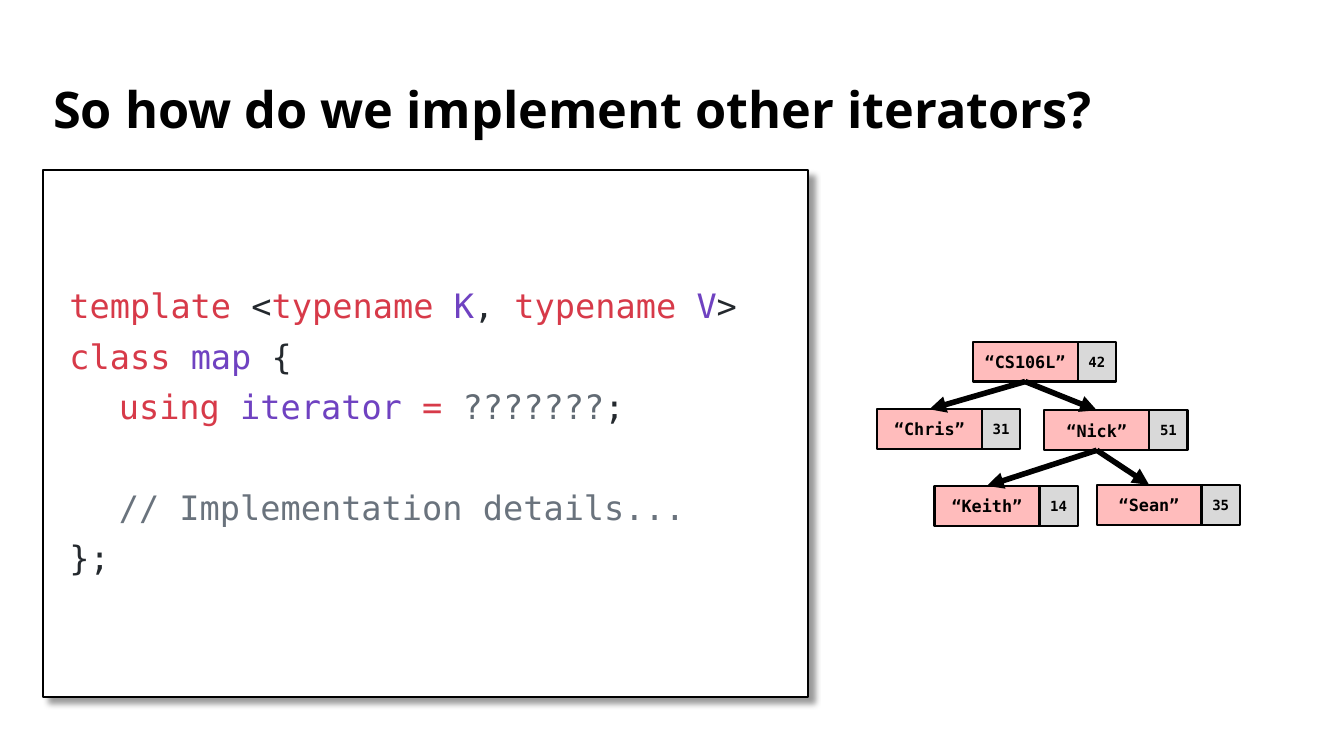
"""Build a slide on implementing iterators, with a map template and its tree."""
import dataclasses
import typing

import lxml.etree
import pptx
import pptx.dml.color
import pptx.enum.shapes
import pptx.enum.text
import pptx.oxml.ns
import pptx.util

COLUMNS, ROWS = 64, 36
CELL = pptx.util.Inches(7.5) // ROWS


@dataclasses.dataclass(frozen=True)
class Theme:
    heading_font: str = "Open Sans"
    code_font: str = "DejaVu Sans Mono"
    heading_size: int = 36
    code_size: int = 24
    key_size: int = 12
    value_size: int = 10
    outline: float = 1.5
    arrow: float = 4
    ink: str = "000000"
    paper: str = "FFFFFF"
    key_fill: str = "FFBCBC"
    value_fill: str = "D9D9D9"
    keyword: str = "D73A49"
    name: str = "6F42C1"
    plain: str = "24292E"
    unknown: str = "626B74"
    comment: str = "6A737D"


THEME = Theme()


class Span(typing.NamedTuple):
    text: str
    color: str = THEME.ink


class Line(typing.NamedTuple):
    spans: list[Span]
    indent: float = 0.01
    before: float = 10


class Area(typing.NamedTuple):
    column: float
    row: float
    columns: float
    rows: float


class Node(typing.NamedTuple):
    key: str
    value: str
    column: float
    row: float
    parent: str = ""


KEY_COLUMNS, VALUE_COLUMNS, NODE_ROWS = 5, 1.82, 1.9
HEADING_AREA = Area(2.06, 3.31, 59.86, 4.03)
CODE_AREA = Area(2.06, 8.11, 36.43, 25.1)

CODE = [
    Line([Span("template", THEME.keyword), Span(" <", THEME.plain),
          Span("typename ", THEME.keyword), Span("K", THEME.name),
          Span(", ", THEME.plain), Span("typename ", THEME.keyword),
          Span("V", THEME.name), Span(">", THEME.plain)], before=0),
    Line([Span("class ", THEME.keyword), Span("map", THEME.name),
          Span(" {", THEME.plain)]),
    Line([Span("using ", THEME.keyword), Span("iterator ", THEME.name),
          Span("= ", THEME.keyword), Span("???????", THEME.unknown),
          Span(";", THEME.plain)], indent=0.5),
    Line([Span("// Implementation details...", THEME.comment)],
         indent=0.5, before=46),
    Line([Span("};", THEME.plain)]),
]

TREE = [
    Node("“CS106L”", "42", 46.32, 16.27),
    Node("“Chris”", "31", 41.76, 19.49, "“CS106L”"),
    Node("“Nick”", "51", 49.73, 19.54, "“CS106L”"),
    Node("“Keith”", "14", 44.5, 23.14, "“Nick”"),
    Node("“Sean”", "35", 52.22, 23.09, "“Nick”"),
]


def rgb(color: str) -> pptx.dml.color.RGBColor:
    return pptx.dml.color.RGBColor.from_string(color)


def place(area: Area) -> list[int]:
    return [round(length * CELL) for length in area]


def write(holder, lines: list[Line], *, font: str, size: float,
          bold: bool = False, centred: bool = False, spacing: float = 1.0,
          inset: float = 0) -> None:
    frame = holder.text_frame
    frame.word_wrap = True
    frame.vertical_anchor = pptx.enum.text.MSO_ANCHOR.MIDDLE
    frame.margin_left = frame.margin_right = pptx.util.Inches(inset)
    frame.margin_top = frame.margin_bottom = pptx.util.Inches(inset)
    align = pptx.enum.text.PP_ALIGN
    for index, line in enumerate(lines):
        paragraph = frame.add_paragraph() if index else frame.paragraphs[0]
        properties = paragraph._p.get_or_add_pPr()
        properties.set("marL", str(pptx.util.Inches(line.indent)))
        properties.set("indent", "0")
        paragraph.alignment = align.CENTER if centred else align.LEFT
        paragraph.line_spacing = spacing
        paragraph.space_before = pptx.util.Pt(line.before)
        for span in line.spans:
            run = paragraph.add_run()
            run.text = span.text
            run.font.name = font
            run.font.size = pptx.util.Pt(size)
            run.font.bold = bold
            run.font.color.rgb = rgb(span.color)


def draw_box(slide, area: Area, fill: str):
    box = slide.shapes.add_shape(
        pptx.enum.shapes.MSO_SHAPE.RECTANGLE, *place(area))
    box.shadow.inherit = False
    box.fill.solid()
    box.fill.fore_color.rgb = rgb(fill)
    box.line.color.rgb = rgb(THEME.ink)
    box.line.width = pptx.util.Pt(THEME.outline)
    return box


def cast_shadow(box) -> None:
    effects = box._element.spPr.find(pptx.oxml.ns.qn("a:effectLst"))
    shadow = lxml.etree.SubElement(
        effects, pptx.oxml.ns.qn("a:outerShdw"),
        blurRad=str(pptx.util.Pt(4)), dist=str(pptx.util.Pt(6)),
        dir=str(45 * 60000), algn="tl", rotWithShape="0")
    tint = lxml.etree.SubElement(
        shadow, pptx.oxml.ns.qn("a:srgbClr"), val=THEME.ink)
    lxml.etree.SubElement(tint, pptx.oxml.ns.qn("a:alpha"), val="40000")


def draw_node(slide, node: Node):
    key_area = Area(node.column, node.row, KEY_COLUMNS, NODE_ROWS)
    value_area = Area(node.column + KEY_COLUMNS, node.row,
                      VALUE_COLUMNS, NODE_ROWS)
    key = draw_box(slide, key_area, THEME.key_fill)
    value = draw_box(slide, value_area, THEME.value_fill)
    for cell, text, size in ((key, node.key, THEME.key_size),
                             (value, node.value, THEME.value_size)):
        write(cell, [Line([Span(text)], indent=0, before=0)],
              font=THEME.code_font, size=size, bold=True, centred=True)
    return key


def draw_branch(slide, parent, child) -> None:
    branch = slide.shapes.add_connector(
        pptx.enum.shapes.MSO_CONNECTOR.STRAIGHT, 0, 0, 0, 0)
    branch.begin_connect(parent, 2)
    branch.end_connect(child, 0)
    branch.line.color.rgb = rgb(THEME.ink)
    branch.line.width = pptx.util.Pt(THEME.arrow)
    lxml.etree.SubElement(branch.line._get_or_add_ln(),
                          pptx.oxml.ns.qn("a:tailEnd"), type="triangle")
    lxml.etree.SubElement(branch._element.spPr,
                          pptx.oxml.ns.qn("a:effectLst"))


def main() -> None:
    deck = pptx.Presentation()
    deck.slide_width, deck.slide_height = COLUMNS * CELL, ROWS * CELL
    slide = deck.slides.add_slide(deck.slide_layouts[6])

    heading = slide.shapes.add_textbox(*place(HEADING_AREA))
    question = Span("So how do we implement other iterators?")
    write(heading, [Line([question], indent=0, before=0)],
          font=THEME.heading_font, size=THEME.heading_size, bold=True,
          spacing=0.9, inset=0.1)

    code_panel = draw_box(slide, CODE_AREA, THEME.paper)
    cast_shadow(code_panel)
    write(code_panel, CODE, font=THEME.code_font, size=THEME.code_size,
          spacing=0.9, inset=0.25)

    keys = {node.key: draw_node(slide, node) for node in TREE}
    for node in TREE:
        if node.parent:
            draw_branch(slide, keys[node.parent], keys[node.key])

    deck.save("out.pptx")


if __name__ == "__main__":
    main()
